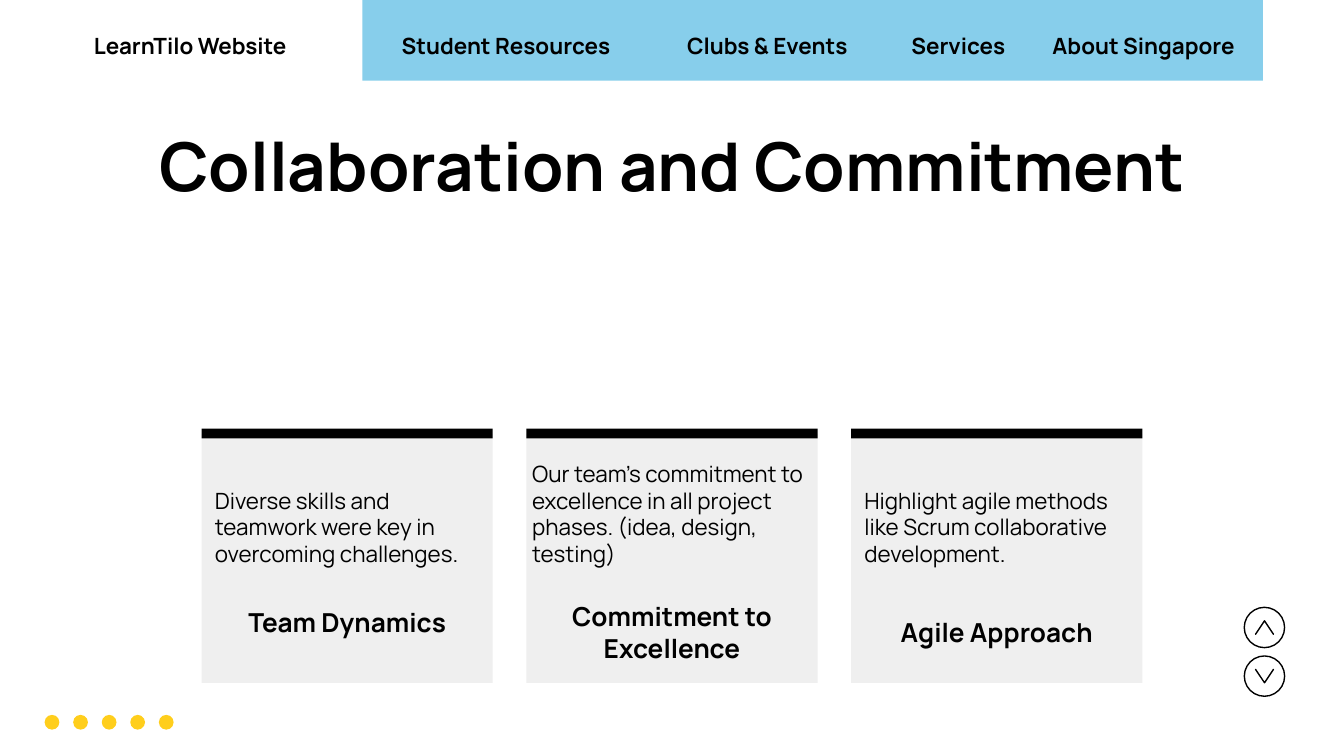
"""Build the Collaboration and Commitment slide."""
from typing import NamedTuple

from pptx import Presentation
from pptx.dml import color
from pptx.enum import shapes, text
from pptx.util import Pt

FONT = "Manrope"
BLACK, WHITE, GREY, YELLOW, SKY = "000000", "FFFFFF", "EFEFEF", "FFCE1C", "87CEEB"
LEFT, CENTER = text.PP_ALIGN.LEFT, text.PP_ALIGN.CENTER
TOP, MIDDLE, BOTTOM = text.MSO_ANCHOR.TOP, text.MSO_ANCHOR.MIDDLE, text.MSO_ANCHOR.BOTTOM
KIND = shapes.MSO_SHAPE
CARD_LEFT, CARD_PITCH, CARD_WIDTH = 108, 174, 156


class Box(NamedTuple):
    left: float
    top: float
    width: float
    height: float


class Card(NamedTuple):
    heading: str
    heading_top: float
    body: str
    body_overhang: float = 0


class NavItem(NamedTuple):
    label: str
    left: float
    width: float
    align: text.PP_ALIGN = CENTER


class Arrow(NamedTuple):
    top: float
    ring_rotation: float
    chevron_rotation: float


CARDS = [
    Card("Team Dynamics", 317.5,
         "Diverse skills and teamwork were key in overcoming challenges."),
    Card("Commitment to Excellence", 314.6,
         "Our team's commitment to excellence in all project phases. (idea, design, testing)", 4),
    Card("Agile Approach", 323.3,
         "Highlight agile methods like Scrum collaborative development."),
]
NAV_ITEMS = [
    NavItem("LearnTilo Website", 43.2, 142.6, LEFT),
    NavItem("Student Resources", 194.4, 153.4),
    NavItem("Clubs & Events", 352.8, 116.6),
    NavItem("Services", 478.1, 70.6),
    NavItem("About Singapore", 548.6, 128.2),
]
ARROWS = [Arrow(351.4, 180, 90), Arrow(325.4, 0, 270)]


def rgb(value: str) -> color.RGBColor:
    """Turn a hex string into a colour."""
    return color.RGBColor.from_string(value)


def add_shape(slide, kind, box: Box, fill: str, outlined: bool = False,
              rotation: float = 0, adjustment: float | None = None) -> None:
    """Draw a filled preset shape, with a thin black outline if asked."""
    shape = slide.shapes.add_shape(kind, *map(Pt, box))
    shape.shadow.inherit = False
    shape.rotation = rotation
    shape.fill.solid()
    shape.fill.fore_color.rgb = rgb(fill)
    if outlined:
        shape.line.color.rgb = rgb(BLACK)
        shape.line.width = Pt(0.75)
    else:
        shape.line.fill.background()
    if adjustment is not None:
        shape.adjustments[0] = adjustment


def add_text(slide, wording: str, box: Box, size: float, bold: bool = True,
             align: text.PP_ALIGN = CENTER, anchor: text.MSO_ANCHOR = MIDDLE) -> None:
    """Write one wrapped paragraph in a text box."""
    frame = slide.shapes.add_textbox(*map(Pt, box)).text_frame
    frame.word_wrap = True
    frame.vertical_anchor = anchor
    frame.margin_left = frame.margin_right = Pt(7.2)
    frame.margin_top = frame.margin_bottom = Pt(7.2)
    paragraph = frame.paragraphs[0]
    paragraph.alignment = align
    run = paragraph.add_run()
    run.text = wording
    run.font.name = FONT
    run.font.size = Pt(size)
    run.font.bold = bold
    run.font.color.rgb = rgb(BLACK)


def add_card(slide, card: Card, left: float) -> None:
    """Draw a card with its top bar, body and heading."""
    add_shape(slide, KIND.RECTANGLE, Box(left, 232.6, CARD_WIDTH, 133.2), GREY)
    add_shape(slide, KIND.RECTANGLE, Box(left, 229.7, CARD_WIDTH, 5.2), BLACK)
    body_box = Box(left - card.body_overhang, 240.5, CARD_WIDTH + 2 * card.body_overhang, 70.6)
    add_text(slide, card.body, body_box, 12, False, LEFT, BOTTOM)
    add_text(slide, card.heading, Box(left, card.heading_top, CARD_WIDTH, 38.2), 14, anchor=TOP)


def add_arrow(slide, arrow: Arrow) -> None:
    """Draw a round scroll button with its chevron."""
    add_shape(slide, KIND.ROUNDED_RECTANGLE, Box(666.6, arrow.top, 21.6, 21.6), WHITE,
              True, arrow.ring_rotation, 0.5)
    add_shape(slide, KIND.CHEVRON, Box(673.8, arrow.top + 6, 7.2, 9.6), BLACK,
              True, arrow.chevron_rotation, 2)


def main() -> None:
    """Build and save the slide."""
    deck = Presentation()
    deck.slide_width, deck.slide_height = Pt(720), Pt(405)
    slide = deck.slides.add_slide(deck.slide_layouts[6])
    for index in range(5):
        add_shape(slide, KIND.OVAL, Box(23.9 + 15.3 * index, 383, 7.9, 7.9), YELLOW)
    add_text(slide, "Collaboration and Commitment", Box(0, 65.5, 720, 45.4), 36)
    for index, card in enumerate(CARDS):
        add_card(slide, card, CARD_LEFT + CARD_PITCH * index)
    for arrow in ARROWS:
        add_arrow(slide, arrow)
    add_shape(slide, KIND.RECTANGLE, Box(194.2, -0.7, 482.4, 43.9), SKY)
    for item in NAV_ITEMS:
        add_text(slide, item.label, Box(item.left, 16.6, item.width, 15.1), 12, align=item.align)
    deck.save("out.pptx")


if __name__ == "__main__":
    main()
